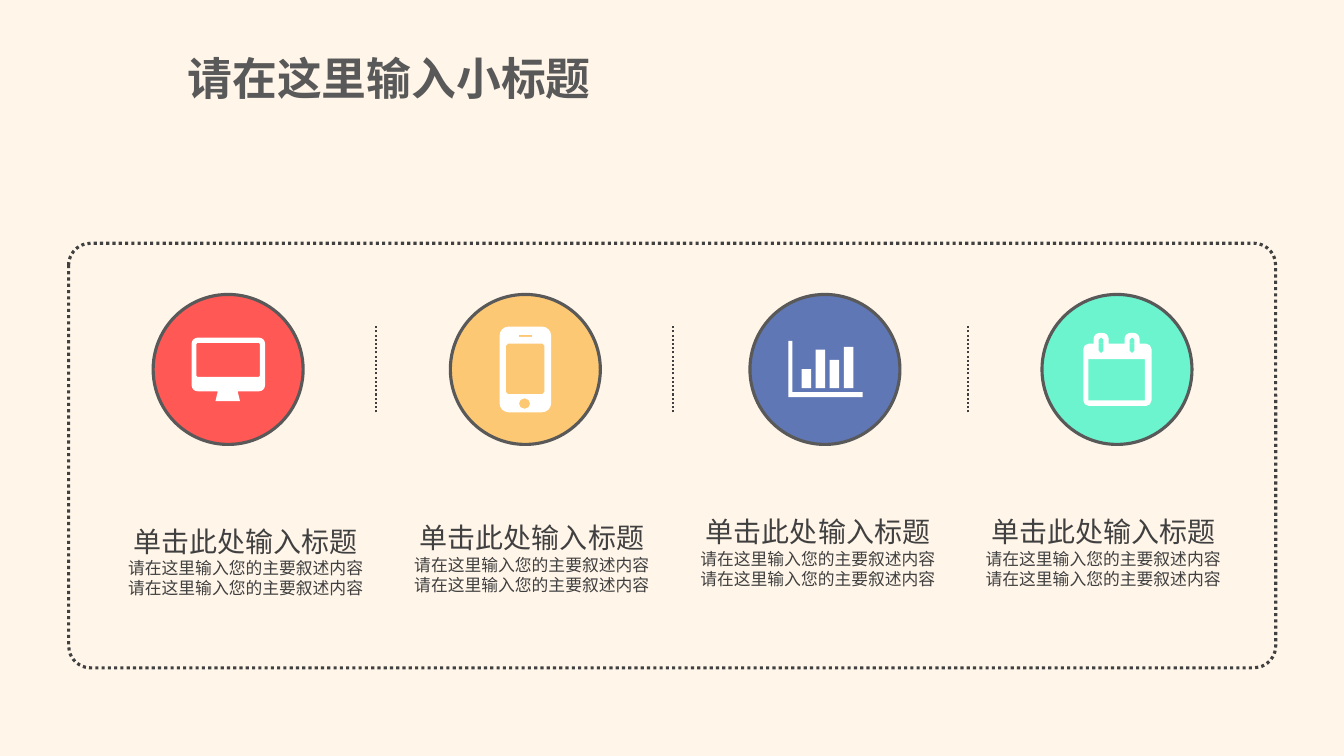
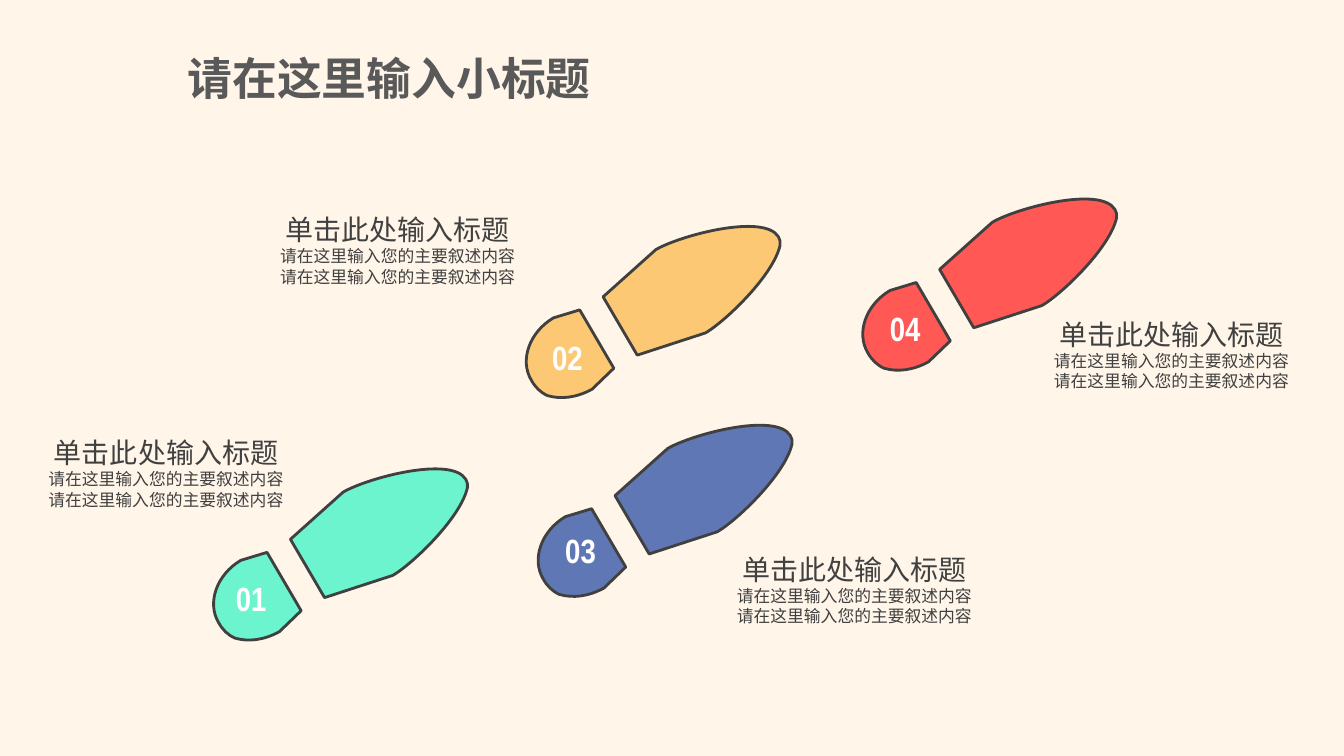
from lxml import etree
from pptx import Presentation
from pptx.dml.color import RGBColor
from pptx.enum.dml import MSO_LINE
from pptx.enum.shapes import MSO_CONNECTOR, MSO_SHAPE
from pptx.enum.text import MSO_ANCHOR, MSO_AUTO_SIZE, PP_ALIGN
from pptx.oxml.ns import qn
from pptx.util import Cm, Pt

CREAM = RGBColor(0xFF, 0xF5, 0xE9)
GRAY = RGBColor(0x59, 0x59, 0x59)
DARK = RGBColor(0x40, 0x40, 0x40)
WHITE = RGBColor(0xFF, 0xFF, 0xFF)
RED = RGBColor(0xFF, 0x58, 0x55)
AMBER = RGBColor(0xFD, 0xC8, 0x73)
BLUE = RGBColor(0x60, 0x77, 0xB6)
MINT = RGBColor(0x6B, 0xF4, 0xCD)

DOTTED = MSO_LINE.ROUND_DOT
ELLIPSE = MSO_SHAPE.OVAL
ROUNDED = MSO_SHAPE.ROUNDED_RECTANGLE
STRAIGHT = MSO_CONNECTOR.STRAIGHT
TOP = MSO_ANCHOR.TOP
NO_FIT = MSO_AUTO_SIZE.NONE
LEFT, CENTER = PP_ALIGN.LEFT, PP_ALIGN.CENTER

CJK_FONT = "Noto Sans CJK SC"
NUMBER_FONT = "Arial Narrow"
TITLE = "请在这里输入小标题"
HEADING = "单击此处输入标题"
BODY = "请在这里输入您的主要叙述内容"

UNITS = 1000
CIRCLE_TOP, CIRCLE_SIZE = 7.42, 3.78

HEEL = [
    [(0, 0)],
    [(-0.61, 0.36), (-0.86, 1.07), (-0.56, 1.57)],
    [(-0.46, 1.75), (-0.33, 1.88), (-0.15, 1.96)],
    [(0.2, 2.06), (0.58, 2.01), (0.97, 1.8)],
    [(1.52, 1.27)],
    [(0.66, -0.2)],
]
SOLE = [
    [(2.58, -1.72)],
    [(1.25, -0.53)],
    [(2.11, 0.94)],
    [(3.83, 0.38)],
    [(4.34, 0.08), (5.54, -1.07), (5.71, -1.83)],
    [(5.73, -1.9), (5.7, -1.98), (5.67, -2.04)],
    [(5.31, -2.64), (3.2, -2.08), (2.58, -1.72)],
]


def format_paragraph(p, size, color, font=CJK_FONT, bold=False, align=LEFT, spacing=None):
    p.alignment = align
    if spacing:
        p.line_spacing = Pt(spacing)
    for r in p.runs:
        r.font.size = Pt(size)
        r.font.bold = bold
        r.font.color.rgb = color
        r.font.name = font
        ea = etree.SubElement(r._r.get_or_add_rPr(), qn("a:ea"))
        ea.set("typeface", font)


def style_shape(sp, fill=None, line=None, width=0, dash=None):
    sp.shadow.inherit = False
    if fill is None:
        sp.fill.background()
    else:
        sp.fill.solid()
        sp.fill.fore_color.rgb = fill
    if line is None:
        sp.line.fill.background()
    else:
        sp.line.color.rgb = line
        sp.line.width = Pt(width)
        if dash:
            sp.line.dash_style = dash


def add_slide(prs):
    s = prs.slides.add_slide(prs.slide_layouts[5])
    sp = s.shapes.title
    sp.left, sp.top, sp.width, sp.height = Cm(4.47), Cm(1.14), Cm(10.82), Cm(1.63)
    tf = sp.text_frame
    tf.text = TITLE
    tf.vertical_anchor = TOP
    tf.auto_size = NO_FIT
    format_paragraph(tf.paragraphs[0], 32, GRAY, bold=True, spacing=38.4)
    return s


def add_text(s, left, top, width, height, text):
    tf = s.shapes.add_textbox(Cm(left), Cm(top), Cm(width), Cm(height)).text_frame
    tf.word_wrap = True
    tf.text = text
    return tf


def add_caption(s, left, top):
    tf = add_text(s, left, top, 6.5, 3.5, "\n".join([HEADING, BODY, BODY]))
    heading, *body = tf.paragraphs
    heading._p.get_or_add_pPr().set("marL", str(Cm(0.14)))
    format_paragraph(heading, 20, DARK, spacing=24)
    for p in body:
        format_paragraph(p, 12, DARK, spacing=14.4)


def add_divider(s, x, top, bottom):
    line = s.shapes.add_connector(STRAIGHT, Cm(x), Cm(bottom), Cm(x), Cm(top))
    line.line.color.rgb = DARK
    line.line.width = Pt(1.5)
    line.line.dash_style = DOTTED
    etree.SubElement(line._element.spPr, qn("a:effectLst"))


def add_outline(s, left, top, contours, **style):
    def scale(point):
        return round((left + point[0]) * UNITS), round((top + point[1]) * UNITS)

    builder = s.shapes.build_freeform(*scale(contours[0][0][0]), scale=Cm(1) / UNITS)
    for i, contour in enumerate(contours):
        start, *rest = [scale(point) for segment in contour for point in segment]
        if i:
            builder.move_to(*start)
        builder.add_line_segments(rest, close=True)
    sp = builder.convert_to_shape()
    bend_curves(sp, [segment for contour in contours for segment in contour[1:]])
    style_shape(sp, **style)


def bend_curves(sp, segments):
    nodes = iter(list(sp._element.spPr.iter(qn("a:lnTo"))))
    for segment in segments:
        group = [next(nodes) for _ in segment]
        if len(group) == 3:
            curve = etree.Element(qn("a:cubicBezTo"))
            group[0].addprevious(curve)
            for node in group:
                curve.append(node[0])
                node.getparent().remove(node)


def box(left, top, width, height, r_top=0, r_bottom=None):
    r_bottom = r_top if r_bottom is None else r_bottom
    right, bottom = left + width, top + height
    corners = [
        (left, top, r_top, (0, 1), (1, 0)),
        (right, top, r_top, (-1, 0), (0, 1)),
        (right, bottom, r_bottom, (0, -1), (-1, 0)),
        (left, bottom, r_bottom, (1, 0), (0, -1)),
    ]
    segments = []
    for x, y, r, before, after in corners:
        if not r:
            segments.append([(x, y)])
            continue
        start, *curve = [(x + k * r * dx, y + k * r * dy)
                         for k, (dx, dy) in ((1, before), (0.45, before), (0.45, after), (1, after))]
        segments += [[start], curve]
    return segments


def monitor_icon():
    stand = [[(1.63, 2.44)], [(2.13, 2.44)], [(2.19, 2.69)], [(1.57, 2.69)]]
    return [box(0.97, 1.09, 1.85, 1.35, 0.15), box(1.09, 1.22, 1.6, 0.86, 0.03), stand]


def phone_icon():
    return [box(1.24, 0.81, 1.3, 2.16, 0.23), box(1.4, 1.24, 0.97, 1.27, 0.05),
            box(1.73, 1.02, 0.33, 0.05), box(1.73, 2.62, 0.28, 0.26, 0.13)]


def chart_icon():
    axes = [[(2.84, 2.59)], [(0.97, 2.59)], [(0.97, 1.17)],
            [(1.07, 1.17)], [(1.07, 2.46)], [(2.84, 2.46)]]
    heights = [0.48, 0.97, 0.71, 1.04]
    return [axes] + [box(1.3 + 0.355 * i, 2.36 - h, 0.24, h) for i, h in enumerate(heights)]


def calendar_icon():
    contours = [box(1.04, 1.24, 1.72, 1.57, 0.14), box(1.17, 1.63, 1.42, 1.04)]
    for x in (1.3, 2.08):
        contours += [box(x, 0.97, 0.38, 0.27, 0.15, 0), box(x + 0.13, 1.09, 0.12, 0.38, 0.05)]
    return contours


def add_icon_circle(s, left, color, contours):
    sp = s.shapes.add_shape(ELLIPSE, Cm(left), Cm(CIRCLE_TOP), Cm(CIRCLE_SIZE), Cm(CIRCLE_SIZE))
    style_shape(sp, color, GRAY, 2.25)
    add_outline(s, left, CIRCLE_TOP, contours, fill=WHITE)


def add_footprint(s, left, top, color):
    for part in (HEEL, SOLE):
        add_outline(s, left, top, [part], fill=color, line=DARK, width=2)


def add_number(s, left, top, text):
    tf = add_text(s, left, top, 1.78, 1.27, text)
    format_paragraph(tf.paragraphs[0], 24, WHITE, NUMBER_FONT, True, CENTER)


def build_icons(prs):
    s = add_slide(prs)
    panel = s.shapes.add_shape(ROUNDED, Cm(1.73), Cm(6.13), Cm(30.42), Cm(10.7))
    panel.adjustments[0] = 0.052
    style_shape(panel, line=DARK, width=2.25, dash=DOTTED)
    for x in (9.47, 16.95, 24.39):
        add_divider(s, x, 8.21, 10.39)
    items = [
        (3.86, RED, monitor_icon(), (2.98, 13.08)),
        (11.35, AMBER, phone_icon(), (10.19, 13)),
        (18.9, BLUE, chart_icon(), (17.4, 12.85)),
        (26.26, MINT, calendar_icon(), (24.59, 12.85)),
    ]
    for left, color, contours, caption in items:
        add_icon_circle(s, left, color, contours)
        add_caption(s, *caption)


def build_footprints(prs):
    s = add_slide(prs)
    items = [
        (MINT, (6.07, 14.12), (5.44, 14.43), (0.97, 10.85)),
        (AMBER, (13.95, 8.01), (13.41, 8.36), (6.81, 5.23)),
        (BLUE, (14.25, 13.02), (13.74, 13.23), (18.32, 13.79)),
        (RED, (22.43, 7.32), (21.92, 7.63), (26.31, 7.87)),
    ]
    for i, (color, foot, number, caption) in enumerate(items, 1):
        add_footprint(s, *foot, color)
        add_number(s, *number, f"{i:02}")
        add_caption(s, *caption)


def main():
    prs = Presentation()
    prs.slide_width, prs.slide_height = Cm(33.87), Cm(19.05)
    background = prs.slide_master.background.fill
    background.solid()
    background.fore_color.rgb = CREAM
    build_icons(prs)
    build_footprints(prs)
    prs.save("out.pptx")


if __name__ == "__main__":
    main()
